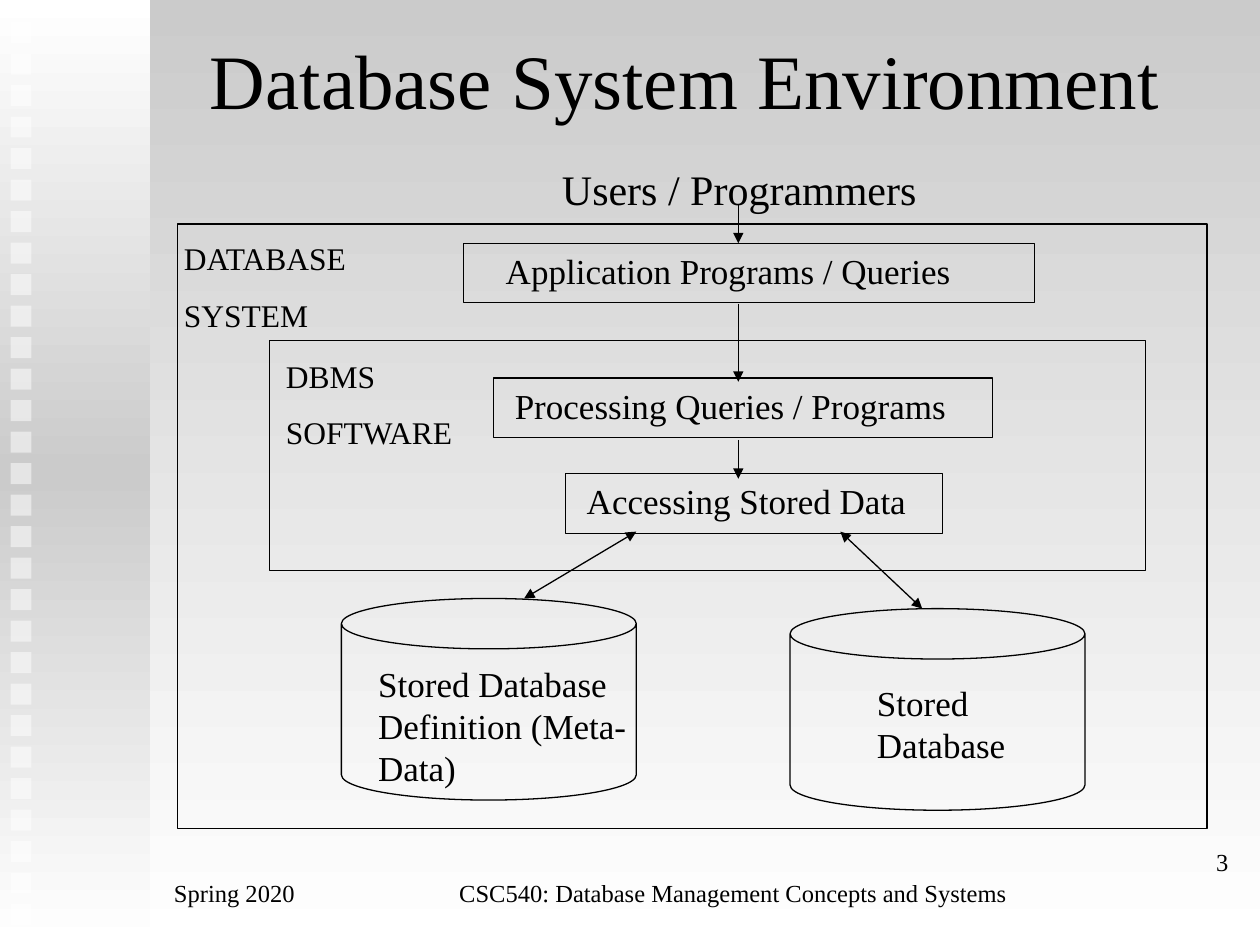
from copy import deepcopy
from dataclasses import dataclass

from lxml import etree
from pptx import Presentation
from pptx.dml.color import RGBColor
from pptx.enum.shapes import MSO_CONNECTOR, MSO_SHAPE
from pptx.enum.text import MSO_ANCHOR, MSO_AUTO_SIZE, PP_ALIGN
from pptx.oxml.ns import qn
from pptx.util import Pt

RECTANGLE, CAN = MSO_SHAPE.RECTANGLE, MSO_SHAPE.CAN
STRAIGHT = MSO_CONNECTOR.STRAIGHT
TOP, MIDDLE = MSO_ANCHOR.TOP, MSO_ANCHOR.MIDDLE
LEFT, RIGHT = PP_ALIGN.LEFT, PP_ALIGN.RIGHT
NO_AUTOSIZE = MSO_AUTO_SIZE.NONE


@dataclass(frozen=True)
class Theme:
    """Colours, font and type sizes of the slide."""
    ink: RGBColor = RGBColor(0x00, 0x00, 0x00)
    white: RGBColor = RGBColor(0xFF, 0xFF, 0xFF)
    grey: RGBColor = RGBColor(0xCB, 0xCB, 0xCB)
    font: str = "Times New Roman"
    title: int = 44
    heading: int = 24
    body: int = 20
    label: int = 18
    footer: int = 14
    line: float = 0.75


@dataclass(frozen=True)
class Box:
    """A rectangle in points."""
    left: float
    top: float
    width: float
    height: float

    def inner(self, left, top, width, height):
        """Return a box placed relative to this one."""
        return Box(self.left + left, self.top + top, width, height)

    def lengths(self):
        """Return the four lengths for python-pptx."""
        return Pt(self.left), Pt(self.top), Pt(self.width), Pt(self.height)


THEME = Theme()


def set_gradient(fill, element, colors):
    """Give a fill a downward gradient with evenly spaced colours."""
    fill.gradient()
    fill.gradient_angle = 270
    stop_list = next(element.iter(qn("a:gsLst")))
    for _ in colors[2:]:
        stop_list.append(deepcopy(stop_list[0]))
    for index, (stop, color) in enumerate(zip(fill.gradient_stops, colors)):
        stop.position = index / (len(colors) - 1)
        stop.color.rgb = color


def write(shape, text, size, insets=(3.6, 3.6), anchor=TOP, align=LEFT, gap=0):
    """Fill a shape with text, using (left, top) insets."""
    frame = shape.text_frame
    frame.text = text
    frame.word_wrap = True
    frame.auto_size = NO_AUTOSIZE
    frame.vertical_anchor = anchor
    frame.margin_left, frame.margin_top = (Pt(inset) for inset in insets)
    frame.margin_right, frame.margin_bottom = frame.margin_left, frame.margin_top
    for index, paragraph in enumerate(frame.paragraphs):
        paragraph.alignment = align
        paragraph.space_before = Pt(gap if index else 0)
        for run in paragraph.runs:
            run.font.name = THEME.font
            run.font.size = Pt(size)
            run.font.color.rgb = THEME.ink


def add_text(slide, box, text, size, **style):
    """Add a text box."""
    write(slide.shapes.add_textbox(*box.lengths()), text, size, **style)


def add_outline(slide, box, kind=RECTANGLE):
    """Add an unfilled, outlined shape."""
    shape = slide.shapes.add_shape(kind, *box.lengths())
    shape.shadow.inherit = False
    shape.fill.background()
    shape.line.color.rgb = THEME.ink
    shape.line.width = Pt(THEME.line)
    return shape


def add_arrow(slide, box, start, end, both=False):
    """Add an arrow between two points relative to a box."""
    points = [Pt(value) for x, y in (start, end)
              for value in (box.left + x, box.top + y)]
    arrow = slide.shapes.add_connector(STRAIGHT, *points)
    arrow.line.color.rgb = THEME.ink
    arrow.line.width = Pt(THEME.line)
    line = arrow.line._get_or_add_ln()
    for tag in ("a:headEnd", "a:tailEnd") if both else ("a:tailEnd",):
        etree.SubElement(line, qn(tag), type="triangle")
    etree.SubElement(arrow.element.spPr, qn("a:effectLst"))


def add_side_band(slide, box):
    """Draw the gradient band with its column of translucent squares."""
    band = slide.shapes.add_shape(RECTANGLE, *box.lengths())
    band.shadow.inherit = False
    band.line.fill.background()
    set_gradient(band.fill, band.element, [THEME.white, THEME.grey, THEME.white])
    for index in range(29):
        square = slide.shapes.add_shape(
            RECTANGLE, *box.inner(6, 12.6 + 18 * index, 12, 12).lengths())
        square.shadow.inherit = False
        square.line.fill.background()
        square.fill.solid()
        square.fill.fore_color.rgb = THEME.white
        color = next(square.element.spPr.iter(qn("a:srgbClr")))
        etree.SubElement(color, qn("a:alpha"), val="50000")


def add_title(slide, box):
    """Place and format the title placeholder."""
    title = slide.shapes.title
    title.left, title.top, title.width, title.height = box.lengths()
    write(title, "Database System Environment", THEME.title, (0, 0), MIDDLE)


def add_diagram(slide, box):
    """Draw the database system, its DBMS software and its stores."""
    add_outline(slide, box)
    add_outline(slide, box.inner(52.6, 66.4, 500.4, 131.6))
    add_text(slide, box.inner(216, -38, 250.6, 33), "Users / Programmers",
             THEME.heading)
    for left, top, text in ((0, 5.2, "DATABASE\nSYSTEM"),
                            (58.3, 72.2, "DBMS\nSOFTWARE")):
        add_text(slide, box.inner(left, top, 116.6, 59), text, THEME.label,
                 gap=10.8)

    steps = (
        (163.5, 11, 326.2, 24, "Application Programs / Queries"),
        (180.7, 88, 285.1, 12, "Processing Queries / Programs"),
        (221.8, 142.7, 215.3, 12, "Accessing Stored Data"),
    )
    for left, top, width, indent, text in steps:
        step = add_outline(slide, box.inner(left, top, width, 34))
        write(step, text, THEME.body, (indent, 3.6))
        step.text_frame.margin_right = 0

    stores = (
        ((93.6, 214), (111, 247.1, 175, 75.6),
         "Stored Database Definition (Meta-Data)"),
        ((350, 219.8), (396, 257.9, 104.4, 52.6), "Stored Database"),
    )
    for corner, text_area, text in stores:
        add_outline(slide, box.inner(*corner, 168.5, 115.2), CAN)
        add_text(slide, box.inner(*text_area), text, THEME.body)

    for start, end in ((-10.6, 11), (45.5, 90.2), (123.3, 145.6)):
        add_arrow(slide, box, (320.4, start), (320.4, end))
    add_arrow(slide, box, (262.1, 175.8), (198, 214), both=True)
    add_arrow(slide, box, (378.7, 175.8), (425.5, 219.8), both=True)


def add_footer(slide, box):
    """Write the term, the course name and the slide number."""
    add_text(slide, box.inner(0, 18, 120, 22.3), "Spring 2020", THEME.footer,
             anchor=MIDDLE)
    add_text(slide, box.inner(163, 18, 400, 22.3),
             "CSC540: Database Management Concepts and Systems",
             THEME.footer, anchor=MIDDLE)
    add_text(slide, box.inner(box.width - 48, 0, 48, 22.3), "3", THEME.footer,
             insets=(0, 0), anchor=MIDDLE, align=RIGHT)


def main():
    """Build and save the presentation."""
    presentation = Presentation()
    presentation.slide_width, presentation.slide_height = Pt(720), Pt(540)
    slide = presentation.slides.add_slide(presentation.slide_layouts[5])
    set_gradient(slide.background.fill, slide.element, [THEME.grey, THEME.white])
    add_side_band(slide, Box(0, 0, 85.7, 540))
    add_title(slide, Box(120, 12, 576, 66))
    add_diagram(slide, Box(101.5, 128, 588.2, 345.6))
    add_footer(slide, Box(95.8, 481, 606.2, 40.3))
    presentation.save("out.pptx")


if __name__ == "__main__":
    main()
